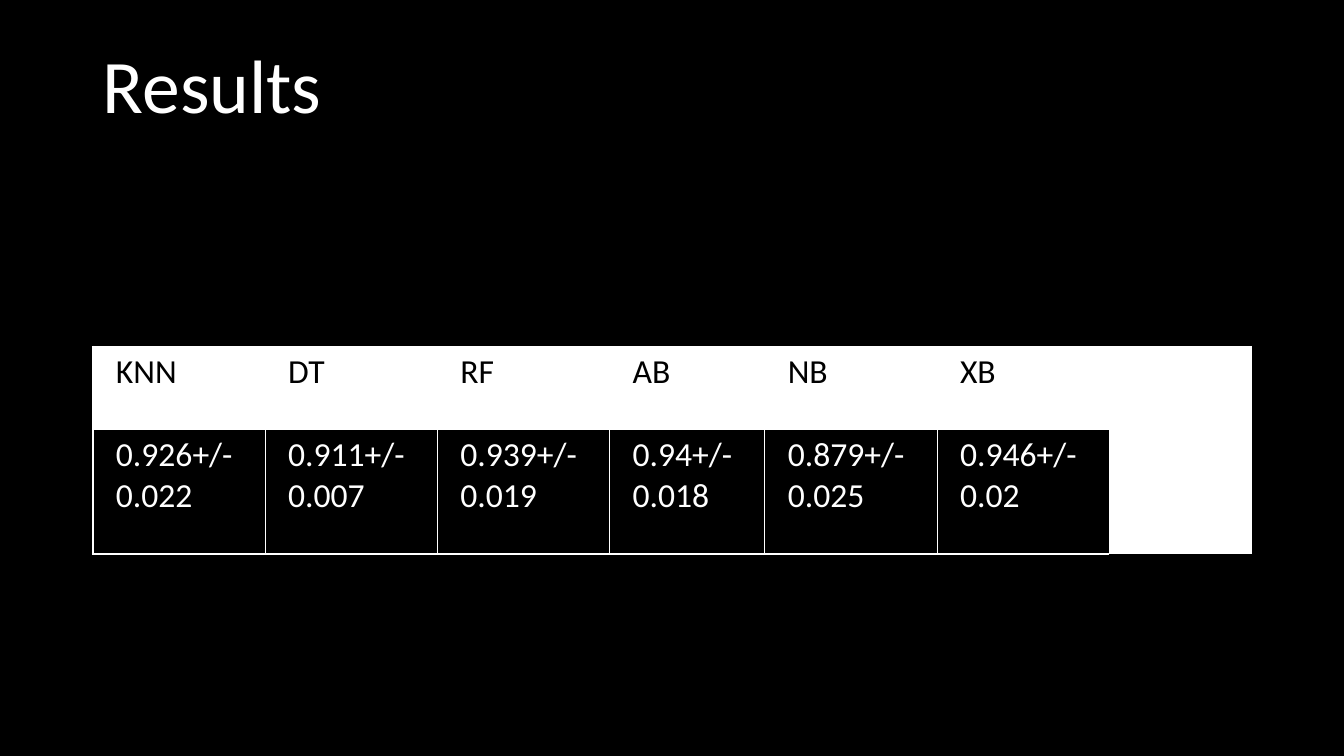
import pptx
import pptx.util
import pptx.dml.color
import pptx.enum.text
import pptx.oxml
import pptx.oxml.ns

Inches = pptx.util.Inches
Pt = pptx.util.Pt
COLORS = {"background": "000000", "light": "FFFFFF"}
FONT = "Calibri"
OUTER, INNER = 1.47, 0.51
SCORES = {
    "KNN": "0.926+/-0.022",
    "DT": "0.911+/-0.007",
    "RF": "0.939+/-0.019",
    "AB": "0.94+/-0.018",
    "NB": "0.879+/-0.025",
    "XB": "0.946+/-0.02",
}
COLUMN_WIDTHS = [1.71, 1.71, 1.71, 1.54, 1.71, 1.71, 1.42]
ROW_HEIGHTS = [0.82, 1.23]


def rgb(name):
    """Return the named colour."""
    return pptx.dml.color.RGBColor.from_string(COLORS[name])


def set_font(paragraph, size, color):
    """Format a whole paragraph."""
    paragraph.font.name = FONT
    paragraph.font.size = Pt(size)
    paragraph.font.bold = False
    paragraph.font.color.rgb = rgb(color)


def set_borders(cell, widths):
    """Draw the sides given in widths (points) and clear the others."""
    properties = cell._tc.get_or_add_tcPr()
    for side in "LRTB":
        width = Pt(widths.get(side, 0))
        paint = (f'<a:solidFill><a:srgbClr val="{COLORS["light"]}"/></a:solidFill>'
                 if width else "<a:noFill/>")
        properties.append(pptx.oxml.parse_xml(
            f'<a:ln{side} {pptx.oxml.ns.nsdecls("a")} w="{width}">{paint}</a:ln{side}>'))


def format_cell(cell, text, fill, color, borders):
    """Fill one table cell with text, colour and borders."""
    set_borders(cell, borders)
    cell.fill.solid()
    cell.fill.fore_color.rgb = rgb(fill)
    cell.margin_left, cell.margin_right = Inches(0.23), Inches(0.17)
    cell.margin_top = cell.margin_bottom = Inches(0.05)
    cell.text = text
    set_font(cell.text_frame.paragraphs[0], 24, color)


def add_title(slide, text, left, top, width, height):
    """Place the title placeholder in the given box."""
    title = slide.shapes.title
    title.left, title.top = Inches(left), Inches(top)
    title.width, title.height = Inches(width), Inches(height)
    title.text = text
    frame = title.text_frame
    frame.word_wrap = True
    frame.auto_size = pptx.enum.text.MSO_AUTO_SIZE.NONE
    frame.vertical_anchor = pptx.enum.text.MSO_ANCHOR.BOTTOM
    paragraph = frame.paragraphs[0]
    paragraph.alignment = pptx.enum.text.PP_ALIGN.LEFT
    paragraph.line_spacing = 0.9
    set_font(paragraph, 54, "light")


def add_score_table(slide, left, top, width, height):
    """Place model names over their scores, with a merged blank last column."""
    table = slide.shapes.add_table(
        len(ROW_HEIGHTS), len(COLUMN_WIDTHS),
        Inches(left), Inches(top), Inches(width), Inches(height)).table
    table.first_row = table.horz_banding = False
    for column, share in zip(table.columns, COLUMN_WIDTHS):
        column.width = Inches(width * share / sum(COLUMN_WIDTHS))
    for row, share in zip(table.rows, ROW_HEIGHTS):
        row.height = Inches(height * share / sum(ROW_HEIGHTS))

    last = len(SCORES) - 1
    for index, (model, score) in enumerate(SCORES.items()):
        header_borders = {"T": OUTER}
        score_borders = {"L": INNER, "B": OUTER}
        if index == 0:
            header_borders["L"] = score_borders["L"] = OUTER
        if index < last:
            score_borders["R"] = INNER
        format_cell(table.cell(0, index), model, "light", "background", header_borders)
        format_cell(table.cell(1, index), score, "background", "light", score_borders)

    blank = table.cell(0, last + 1)
    blank.merge(table.cell(1, last + 1))
    format_cell(blank, "", "light", "background", {"T": OUTER})


def build_results_slide(presentation):
    """Add the results slide."""
    slide = presentation.slides.add_slide(presentation.slide_layouts[5])
    slide.background.fill.solid()
    slide.background.fill.fore_color.rgb = rgb("background")
    add_title(slide, "Results", 0.92, 0.32, 11.5, 1.02)
    add_score_table(slide, 0.92, 3.44, 11.5, 2.06)


presentation = pptx.Presentation()
presentation.slide_width, presentation.slide_height = Inches(13.33), Inches(7.5)
build_results_slide(presentation)
presentation.save("out.pptx")
